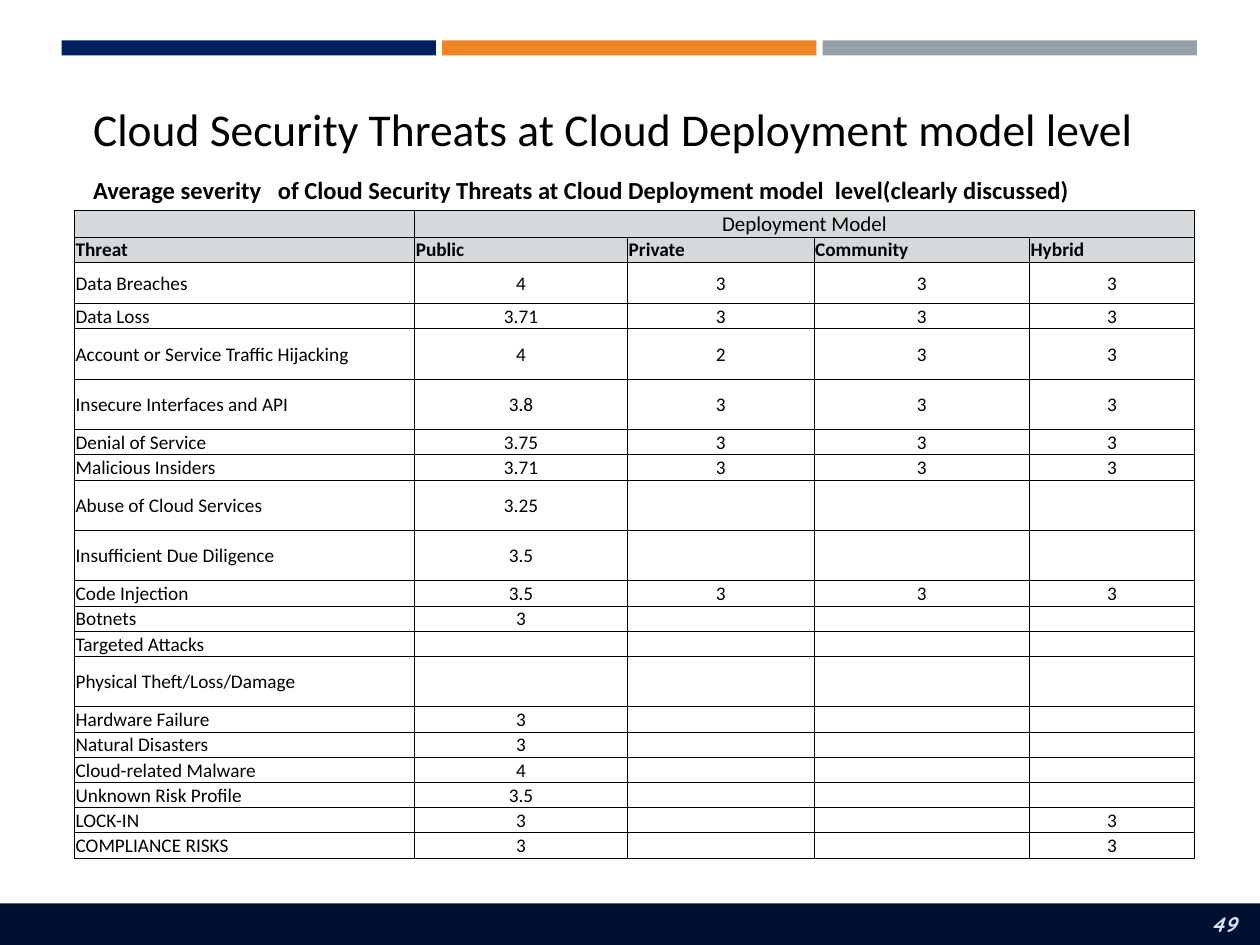
from lxml.etree import SubElement
from pptx import Presentation
from pptx.dml.color import RGBColor
from pptx.enum.shapes import MSO_SHAPE
from pptx.enum.text import MSO_ANCHOR, PP_ALIGN
from pptx.oxml.ns import qn
from pptx.util import Inches, Pt

COLORS = {
    "navy": "002060", "orange": "ED8428", "gray": "969FA7",
    "footer": "001030", "number": "D6E3FF",
    "header": "D5D9DC", "black": "000000",
}
FONT = "Calibri"
COLUMN_WIDTHS = [2.7, 1.69, 1.48, 1.71, 1.31]
HEADINGS = ["Threat", "Public", "Private", "Community", "Hybrid"]
SHORT, MEDIUM, TALL = 0.2, 0.33, 0.4
# Row height, threat, then severity for each deployment model
THREATS = [
    (MEDIUM, "Data Breaches", "4", "3", "3", "3"),
    (SHORT, "Data Loss", "3.71", "3", "3", "3"),
    (TALL, "Account or Service Traffic Hijacking", "4", "2", "3", "3"),
    (TALL, "Insecure Interfaces and API", "3.8", "3", "3", "3"),
    (SHORT, "Denial of Service", "3.75", "3", "3", "3"),
    (SHORT, "Malicious Insiders", "3.71", "3", "3", "3"),
    (TALL, "Abuse of Cloud Services", "3.25", "", "", ""),
    (TALL, "Insufficient Due Diligence", "3.5", "", "", ""),
    (SHORT, "Code Injection", "3.5", "3", "3", "3"),
    (SHORT, "Botnets", "3", "", "", ""),
    (SHORT, "Targeted Attacks", "", "", "", ""),
    (TALL, "Physical Theft/Loss/Damage", "", "", "", ""),
    (SHORT, "Hardware Failure", "3", "", "", ""),
    (SHORT, "Natural Disasters", "3", "", "", ""),
    (SHORT, "Cloud-related Malware", "4", "", "", ""),
    (SHORT, "Unknown Risk Profile", "3.5", "", "", ""),
    (SHORT, "LOCK-IN", "3", "", "", "3"),
    (SHORT, "COMPLIANCE RISKS", "3", "", "", "3"),
]


def rgb(name):
    return RGBColor.from_string(COLORS[name])


def style_span(span, size, color="black", font=FONT, bold=False, italic=False):
    span.font.size = Pt(size)
    span.font.name = font
    span.font.bold = bold
    span.font.italic = italic
    span.font.color.rgb = rgb(color)


def add_bar(page, left, top, width, height, color):
    bar = page.shapes.add_shape(MSO_SHAPE.RECTANGLE, Inches(left), Inches(top),
                                Inches(width), Inches(height))
    bar.shadow.inherit = False
    bar.fill.solid()
    bar.fill.fore_color.rgb = rgb(color)
    bar.line.fill.background()


def add_text(page, left, top, width, height, text, size,
             align=PP_ALIGN.LEFT, **style):
    box = page.shapes.add_textbox(Inches(left), Inches(top),
                                  Inches(width), Inches(height))
    frame = box.text_frame
    frame.word_wrap = True
    frame.vertical_anchor = MSO_ANCHOR.MIDDLE
    frame.margin_top = frame.margin_bottom = 0
    frame.text = text
    para = frame.paragraphs[0]
    para.alignment = align
    style_span(para.runs[0], size, **style)


def add_top_bars(page, left, top, width, height):
    gap = 0.05
    colors = ["navy", "orange", "gray"]
    bar_width = (width - gap * (len(colors) - 1)) / len(colors)
    for index, color in enumerate(colors):
        add_bar(page, left + index * (bar_width + gap), top, bar_width, height, color)


def add_footer(page, left, top, width, height):
    add_bar(page, left, top, width, height, "footer")
    add_text(page, left + width - 1.59, top, 1.5, height, "49", 12,
             align=PP_ALIGN.RIGHT, color="number", font="Quicksand",
             bold=True, italic=True)


def add_headings(page, left, top, width):
    add_text(page, left, top, width, 0.98,
             "Cloud Security Threats at Cloud Deployment model level", 26)
    add_text(page, left, top + 0.87, width, 0.21,
             "Average severity   of Cloud Security Threats at Cloud Deployment "
             "model  level(clearly discussed)", 14, bold=True)


def add_borders(cell):
    properties = cell._tc.get_or_add_tcPr()
    for side in ("a:lnL", "a:lnR", "a:lnT", "a:lnB"):
        line = SubElement(properties, qn(side), w=str(Pt(0.5)))
        fill = SubElement(line, qn("a:solidFill"))
        SubElement(fill, qn("a:srgbClr"), val=COLORS["black"])


def fill_cell(cell, text, size=11, centered=False, bold=False, header=False):
    add_borders(cell)
    if header:
        cell.fill.solid()
        cell.fill.fore_color.rgb = rgb("header")
    else:
        cell.fill.background()
    cell.margin_left = cell.margin_right = cell.margin_top = Inches(0.01)
    cell.margin_bottom = 0
    cell.vertical_anchor = MSO_ANCHOR.MIDDLE
    para = cell.text_frame.paragraphs[0]
    if text:
        para.text = text
        para.alignment = PP_ALIGN.CENTER if centered else PP_ALIGN.LEFT
        style_span(para.runs[0], size, bold=bold)
    else:
        # Keeps an empty cell from stretching its row
        SubElement(para._p, qn("a:endParaRPr"), sz=str(size * 100))


def add_threat_table(page, left, top):
    heights = [0.21, SHORT] + [threat[0] for threat in THREATS]
    frame = page.shapes.add_table(
        len(heights), len(COLUMN_WIDTHS), Inches(left), Inches(top),
        Inches(sum(COLUMN_WIDTHS)), Inches(sum(heights)))
    table = frame.table
    table.first_row = table.horz_banding = False
    for column, width in zip(table.columns, COLUMN_WIDTHS):
        column.width = Inches(width)
    for row, height in zip(table.rows, heights):
        row.height = Inches(height)

    # Header rows
    table.cell(0, 1).merge(table.cell(0, 4))
    for index, text in enumerate(["", "Deployment Model", "", "", ""]):
        fill_cell(table.cell(0, index), text, size=12, centered=True, header=True)
    for index, text in enumerate(HEADINGS):
        fill_cell(table.cell(1, index), text, bold=True, header=True)

    # Threat rows
    for row, (_, *values) in enumerate(THREATS, start=2):
        for index, text in enumerate(values):
            fill_cell(table.cell(row, index), text, centered=index > 0)


def main():
    deck = Presentation()
    deck.slide_width, deck.slide_height = Inches(10), Inches(7.5)
    page = deck.slides.add_slide(deck.slide_layouts[6])
    add_top_bars(page, 0.49, 0.32, 9.01, 0.12)
    add_footer(page, 0, 7.17, 10, 0.33)
    add_headings(page, 0.64, 0.53, 8.74)
    add_threat_table(page, 0.59, 1.67)
    deck.save("out.pptx")


if __name__ == "__main__":
    main()
